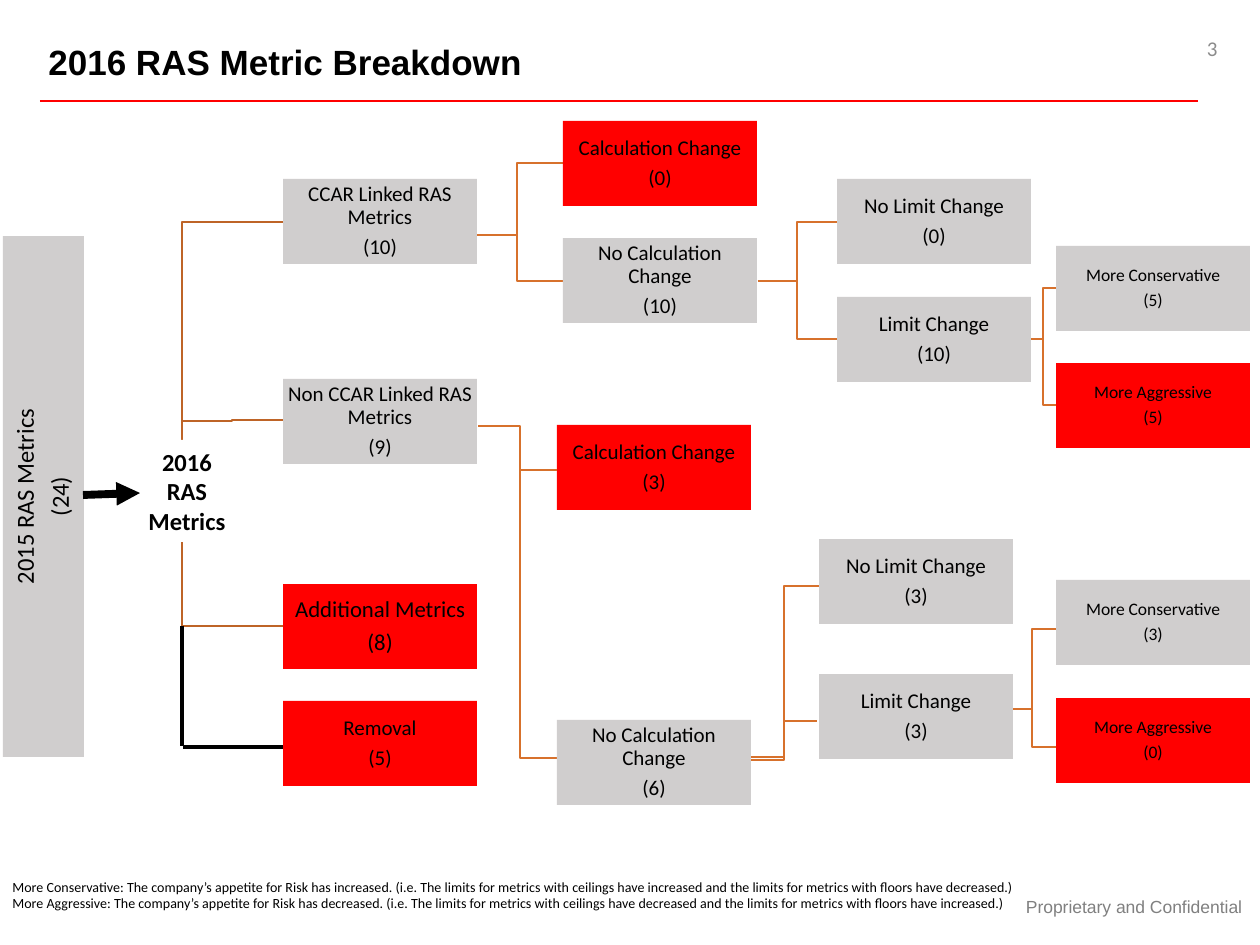
import pptx
import pptx.dml.color
import pptx.enum.shapes
import pptx.enum.text
import pptx.oxml
import pptx.oxml.ns
import pptx.util

EMU_PER_PX = 914400 / 126
NODE_W, NODE_H = 194, 85
ALIGN = pptx.enum.text.PP_ALIGN
ANCHOR = pptx.enum.text.MSO_ANCHOR


class Theme:
    BODY, HEAD = "Calibri", "Arial"
    BLACK, WHITE, RED, GRAY = "000000", "FFFFFF", "FF0000", "D0CECE"
    TRUNK, BRANCH = "BE6427", "D7712C"
    FOOTER, NUMBER = "808080", "8C8C8C"
    TITLE_PT, BAR_PT, LARGE_PT, NODE_PT, SMALL_PT, NOTE_PT = 20, 14, 13, 12, 10, 8


def px(n):
    return pptx.util.Emu(round(n * EMU_PER_PX))


def rgb(color):
    return pptx.dml.color.RGBColor.from_string(color)


def write(shape, lines, size, font=Theme.BODY, color=Theme.BLACK, bold=False,
          align=ALIGN.LEFT, anchor=ANCHOR.MIDDLE):
    tf = shape.text_frame
    tf.word_wrap = True
    tf.vertical_anchor = anchor
    tf.text = "\n".join(lines)
    for p in tf.paragraphs:
        p.alignment = align
        p.font.size = pptx.util.Pt(size)
        p.font.name = font
        p.font.bold = bold
        p.font.color.rgb = rgb(color)
    return tf


def text_box(s, x, y, w, h, lines, size, **style):
    write(s.shapes.add_textbox(px(x), px(y), px(w), px(h)), lines, size, **style)


def rect(s, x, y, w, h, fill):
    shape = s.shapes.add_shape(pptx.enum.shapes.MSO_SHAPE.RECTANGLE, px(x), px(y), px(w), px(h))
    shape.shadow.inherit = False
    shape.fill.solid()
    shape.fill.fore_color.rgb = rgb(fill)
    shape.line.fill.background()
    return shape


def node(s, x, y, label, count, fill=Theme.GRAY, size=Theme.NODE_PT, w=NODE_W, h=NODE_H):
    shape = rect(s, x, y, w, h, fill)
    tf = write(shape, [label, f"({count})"], size, align=ALIGN.CENTER)
    tf.margin_left = tf.margin_right = tf.margin_top = tf.margin_bottom = px(1)
    for p in tf.paragraphs:
        p.line_spacing = 0.9
        p.space_after = pptx.util.Pt(round(size * 0.35, 1))
    return shape


def line(s, x1, y1, x2, y2, color, width=1, arrow=False):
    c = s.shapes.add_connector(pptx.enum.shapes.MSO_CONNECTOR.STRAIGHT,
                               px(x1), px(y1), px(x2), px(y2))
    c.line.color.rgb = rgb(color)
    c.line.width = pptx.util.Pt(width)
    if arrow:
        tail = pptx.oxml.parse_xml(f'<a:tailEnd {pptx.oxml.ns.nsdecls("a")} type="triangle"/>')
        c.line._get_or_add_ln().append(tail)
    c._element.spPr.append(pptx.oxml.parse_xml(f'<a:effectLst {pptx.oxml.ns.nsdecls("a")}/>'))


def elbow(s, x1, y1, x2, y2, color):
    """Step line that turns halfway between its ends."""
    mid = (x1 + x2) // 2
    builder = s.shapes.build_freeform(x1, y1, scale=EMU_PER_PX)
    builder.add_line_segments([(mid, y1), (mid, y2), (x2, y2)], close=False)
    shape = builder.convert_to_shape()
    shape.shadow.inherit = False
    shape.fill.background()
    shape.line.color.rgb = rgb(color)
    shape.line.width = pptx.util.Pt(1)


def header(s, x, y, w):
    text_box(s, x - 4, y, w, 58, ["2016 RAS Metric Breakdown"], Theme.TITLE_PT,
             font=Theme.HEAD, bold=True)
    text_box(s, x + 906, y - 10, 284, 50, ["3"], Theme.NODE_PT,
             color=Theme.NUMBER, align=ALIGN.RIGHT)
    line(s, x, y + 68, x + w, y + 68, Theme.RED)


def trunk(s, x, y):
    # Step lines to the two trees and the additional metrics
    for x1, y1, y2 in [(78, 312, 42), (78, 313, 446), (179, 241, 240)]:
        elbow(s, x + x1, y + y1, x + 280, y + y2, Theme.TRUNK)

    # Prior-year bar, turned to read upwards about its centre
    bar_w, bar_h = 81, 521
    bar = node(s, x + (bar_w - bar_h) // 2, y + 56 + (bar_h - bar_w) // 2,
               "2015 RAS Metrics", 24, size=Theme.BAR_PT, w=bar_h, h=bar_w)
    bar.rotation = 270

    # Additions and removals
    node(s, x + 280, y + 404, "Additional Metrics", 8, Theme.RED, Theme.LARGE_PT)
    node(s, x + 280, y + 521, "Removal", 5, Theme.RED)
    line(s, x + 179, y + 446, x + 179, y + 566, Theme.BLACK, 2.25)
    line(s, x + 180, y + 567, x + 280, y + 567, Theme.BLACK, 2.25)

    # Current-year hub
    hub = rect(s, x + 126, y + 260, 116, 102, Theme.WHITE)
    write(hub, ["2016", "RAS", "Metrics"], Theme.BAR_PT, bold=True, align=ALIGN.CENTER)
    line(s, x + 80, y + 315, x + 137, y + 313, Theme.BLACK, 4.5, arrow=True)


def tree(s, x, y, elbows, nodes):
    for x1, y1, x2, y2 in elbows:
        elbow(s, x + x1, y + y1, x + x2, y + y2, Theme.BRANCH)
    for dx, dy, *content in nodes:
        node(s, x + dx, y + dy, *content)


def ccar_tree(s, x, y):
    tree(s, x, y, [
        (188, 114, 280, 160), (188, 114, 280, 42),
        (475, 160, 554, 218), (475, 160, 554, 101),
        (748, 218, 773, 284), (748, 218, 773, 167),
    ], [
        (0, 58, "CCAR Linked RAS Metrics", 10),
        (280, 0, "Calculation Change", 0, Theme.RED),
        (280, 117, "No Calculation Change", 10),
        (554, 58, "No Limit Change", 0),
        (554, 176, "Limit Change", 10),
        (773, 125, "More Conservative", 5, Theme.GRAY, Theme.SMALL_PT),
        (773, 242, "More Aggressive", 5, Theme.RED, Theme.SMALL_PT),
    ])


def non_ccar_tree(s, x, y):
    tree(s, x, y, [
        (195, 47, 280, 379),
        (468, 378, 534, 342), (458, 381, 544, 207),
        (706, 330, 792, 368), (706, 330, 792, 250),
    ], [
        (0, 0, "Non CCAR Linked RAS Metrics", 9),
        (274, 46, "Calculation Change", 3, Theme.RED),
        (274, 341, "No Calculation Change", 6),
        (536, 160, "No Limit Change", 3),
        (536, 295, "Limit Change", 3),
        (773, 201, "More Conservative", 3, Theme.GRAY, Theme.SMALL_PT),
        (773, 319, "More Aggressive", 0, Theme.RED, Theme.SMALL_PT),
    ])
    line(s, x + 237, y + 91, x + 274, y + 91, Theme.BRANCH)


def footer(s, x, y):
    text_box(s, x, y, 1196, 47, [
        "More Conservative: The company’s appetite for Risk has increased. (i.e. The limits for "
        "metrics with ceilings have increased and the limits for metrics with floors have decreased.)",
        "More Aggressive: The company’s appetite for Risk has decreased. (i.e. The limits for "
        "metrics with ceilings have decreased and the limits for metrics with floors have increased.)",
    ], Theme.NOTE_PT, anchor=ANCHOR.TOP)
    text_box(s, x + 1008, y + 10, 252, 50, ["Proprietary and Confidential"], Theme.SMALL_PT,
             font=Theme.HEAD, color=Theme.FOOTER, align=ALIGN.CENTER)


def main():
    prs = pptx.Presentation()
    prs.slide_width, prs.slide_height = px(1260), px(945)
    s = prs.slides.add_slide(prs.slide_layouts[6])
    header(s, 40, 33, 1158)
    trunk(s, 3, 180)
    ccar_tree(s, 283, 121)
    non_ccar_tree(s, 283, 379)
    footer(s, 0, 872)
    prs.save("out.pptx")


if __name__ == "__main__":
    main()
